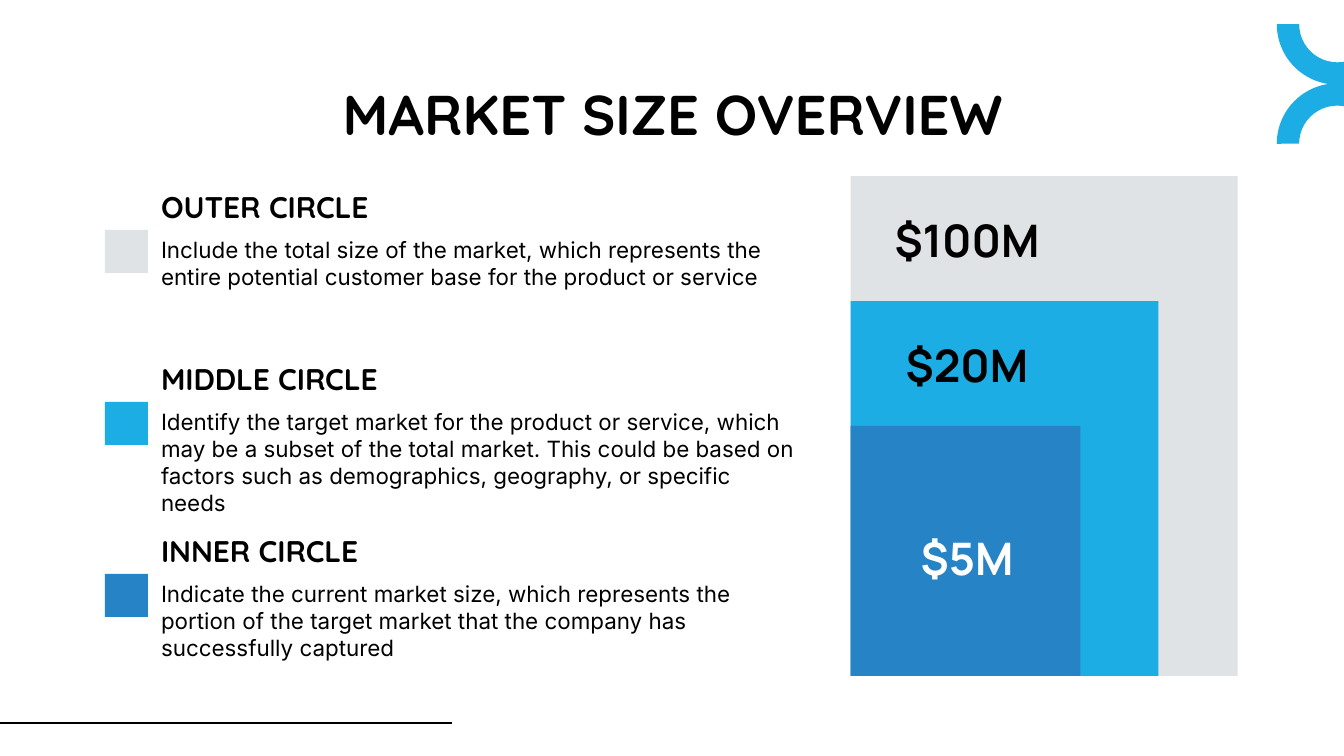
from dataclasses import dataclass

import pptx
import pptx.dml.color
import pptx.enum.shapes
import pptx.enum.text
import pptx.oxml.ns
import pptx.util
from lxml import etree

Inches = pptx.util.Inches
Pt = pptx.util.Pt
RGBColor = pptx.dml.color.RGBColor
MSO_SHAPE = pptx.enum.shapes.MSO_SHAPE
ANCHOR = pptx.enum.text.MSO_ANCHOR
ALIGN = pptx.enum.text.PP_ALIGN


@dataclass(frozen=True)
class TextStyle:
    font: str
    size: int
    bold: bool = True
    align: ALIGN = ALIGN.LEFT
    anchor: ANCHOR = ANCHOR.BOTTOM


@dataclass(frozen=True)
class Theme:
    black: str = "000000"
    white: str = "FFFFFF"
    grey: str = "DFE3E5"
    sky: str = "1CADE4"
    blue: str = "2683C6"
    title: TextStyle = TextStyle("Quicksand", 30, align=ALIGN.CENTER, anchor=ANCHOR.TOP)
    heading: TextStyle = TextStyle("Quicksand", 16)
    body: TextStyle = TextStyle("Inter", 12, bold=False, anchor=ANCHOR.TOP)
    amount: TextStyle = TextStyle("Manrope", 24, align=ALIGN.CENTER)


@dataclass(frozen=True)
class Box:
    left: float
    top: float
    width: float
    height: float

    def emu(self) -> tuple:
        return tuple(Inches(v) for v in (self.left, self.top, self.width, self.height))


@dataclass(frozen=True)
class Segment:
    name: str
    description: str
    fill: str
    amount: str
    amount_color: str
    amount_top: float
    width: float
    height: float


THEME = Theme()
SEGMENTS = [
    Segment("OUTER CIRCLE",
            "Include the total size of the market, which represents the entire "
            "potential customer base for the product or service",
            THEME.grey, "$100M", THEME.black, 1.47, 2.88, 3.72),
    Segment("MIDDLE CIRCLE",
            "Identify the target market for the product or service, which may be a "
            "subset of the total market. This could be based on factors such as "
            "demographics, geography, or specific needs",
            THEME.sky, "$20M", THEME.black, 2.4, 2.29, 2.79),
    Segment("INNER CIRCLE",
            "Indicate the current market size, which represents the portion of the "
            "target market that the company has successfully captured",
            THEME.blue, "$5M", THEME.white, 3.84, 1.71, 1.86),
]
LEGEND_TOP, LEGEND_STEP = 1.31, 1.28
CHART_LEFT, CHART_BOTTOM = 6.33, 5.03


def add_filled(slide, kind: MSO_SHAPE, box: Box, color: str):
    sp = slide.shapes.add_shape(kind, *box.emu())
    sp.shadow.inherit = False
    sp.fill.solid()
    sp.fill.fore_color.rgb = RGBColor.from_string(color)
    sp.line.fill.background()
    return sp


def write_text(sp, text: str, style: TextStyle, color: str = THEME.black) -> None:
    tf = sp.text_frame
    tf.word_wrap = True
    tf.auto_size = pptx.enum.text.MSO_AUTO_SIZE.NONE
    tf.vertical_anchor = style.anchor
    tf.margin_left = tf.margin_right = tf.margin_top = tf.margin_bottom = Inches(0.1)
    p = tf.paragraphs[0]
    p.text = text
    p.alignment = style.align
    p.space_before = Pt(0)
    p.font.name = style.font
    p.font.size = Pt(style.size)
    p.font.bold = style.bold
    p.font.color.rgb = RGBColor.from_string(color)


def add_text(slide, box: Box, text: str, style: TextStyle, color: str = THEME.black) -> None:
    write_text(slide.shapes.add_textbox(*box.emu()), text, style, color)


def add_decoration(slide) -> None:
    # Footer rule
    line = slide.shapes.add_connector(
        pptx.enum.shapes.MSO_CONNECTOR.STRAIGHT,
        Inches(0), Inches(5.38), Inches(3.36), Inches(5.38))
    line.line.color.rgb = RGBColor.from_string(THEME.black)
    line.line.width = Pt(0.75)
    etree.SubElement(line._element.spPr, pptx.oxml.ns.qn("a:effectLst"))

    # Two arcs meeting back to back at the right edge
    for top, rotation in ((0.62, 0), (-0.27, 180)):
        arc = add_filled(slide, MSO_SHAPE.BLOCK_ARC, Box(9.5, top, 0.9, 0.9), THEME.sky)
        arc.rotation = rotation
        for i, value in enumerate((108, 215.99, 0.185)):
            arc.adjustments[i] = value


def add_legend_item(slide, segment: Segment, top: float) -> None:
    add_filled(slide, MSO_SHAPE.RECTANGLE, Box(0.78, top + 0.4, 0.32, 0.32), segment.fill)
    add_text(slide, Box(1.1, top, 4.96, 0.46), segment.name, THEME.heading)
    add_text(slide, Box(1.1, top + 0.35, 4.96, 0.77), segment.description, THEME.body)


def add_market_block(slide, segment: Segment) -> None:
    box = Box(CHART_LEFT, CHART_BOTTOM - segment.height, segment.width, segment.height)
    add_filled(slide, MSO_SHAPE.RECTANGLE, box, segment.fill)
    add_text(slide, Box(6.5, segment.amount_top, 1.39, 0.61),
             segment.amount, THEME.amount, segment.amount_color)


def main() -> None:
    prs = pptx.Presentation()
    prs.slide_width = Inches(10)
    prs.slide_height = prs.slide_width * 9 // 16
    slide = prs.slides.add_slide(prs.slide_layouts.get_by_name("Title Only"))

    add_decoration(slide)

    # Title
    title = slide.shapes.title
    title.left, title.top, title.width, title.height = Box(0.79, 0.49, 8.43, 0.63).emu()
    write_text(title, "MARKET SIZE OVERVIEW", THEME.title)

    # Legend on the left, nested blocks on the right
    for i, segment in enumerate(SEGMENTS):
        add_legend_item(slide, segment, LEGEND_TOP + i * LEGEND_STEP)
        add_market_block(slide, segment)

    prs.save("out.pptx")


if __name__ == "__main__":
    main()
